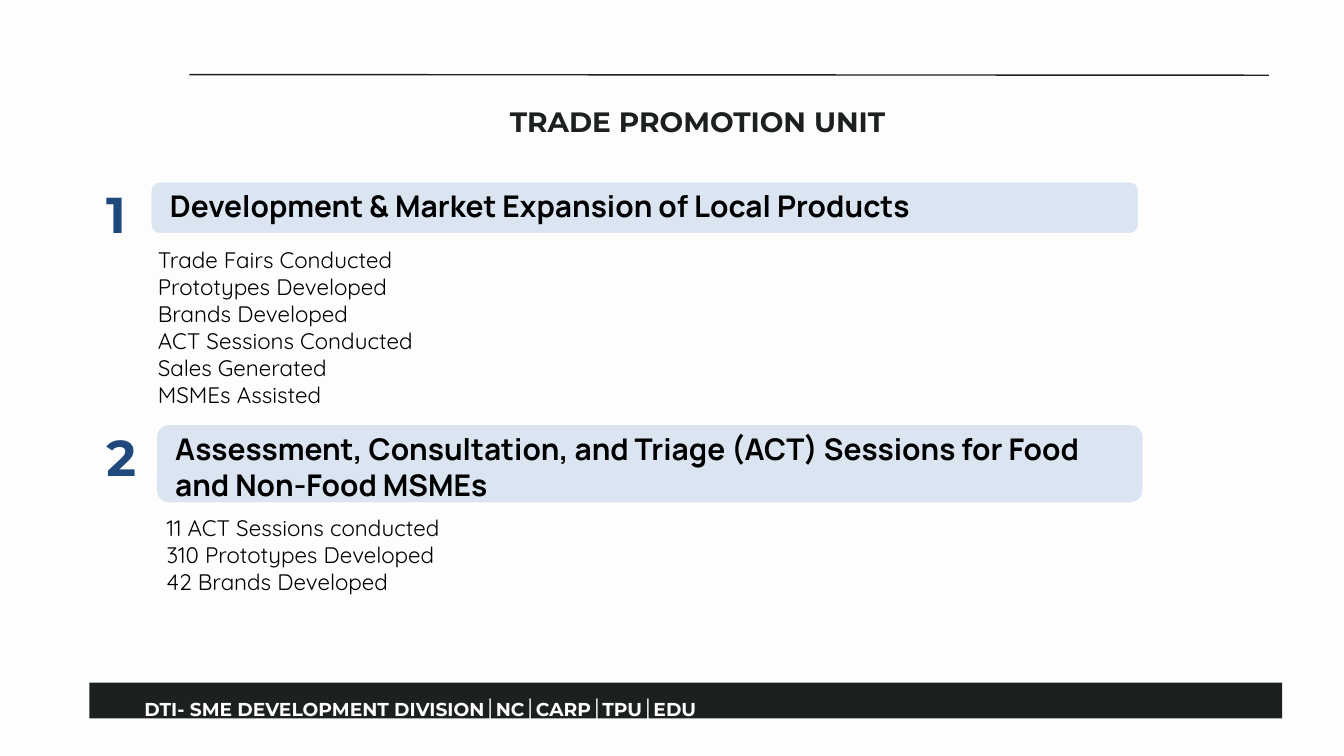
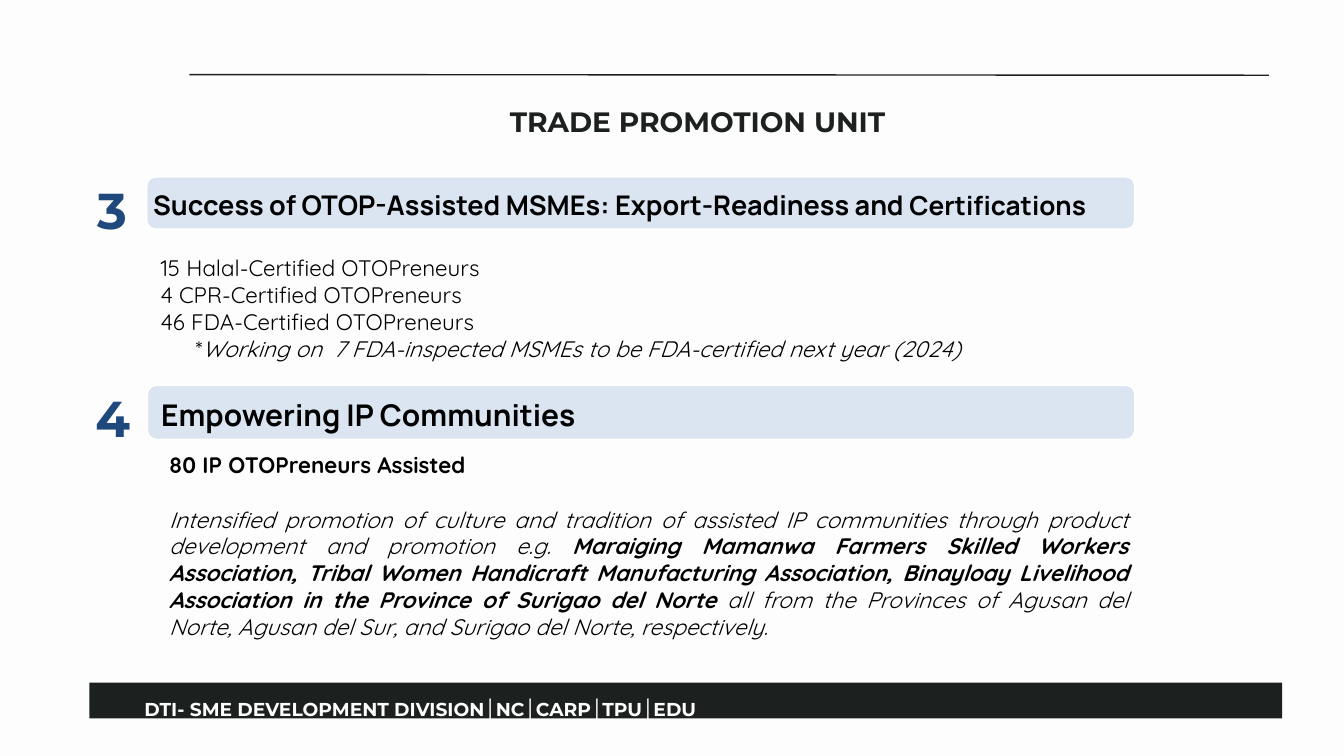
"""Build the two Trade Promotion Unit slides."""
import pptx
import pptx.dml.color
import pptx.enum.shapes
import pptx.enum.text
import pptx.oxml
import pptx.util

Pt = pptx.util.Pt
RGB = pptx.dml.color.RGBColor.from_string
SHAPE = pptx.enum.shapes.MSO_SHAPE
ALIGN = pptx.enum.text.PP_ALIGN
ANCHOR = pptx.enum.text.MSO_ANCHOR
COLORS = {"paper": "FDFDFD", "ink": "1C2120", "band": "DAE5F1",
          "white": "FFFFFF", "number": "1F497D", "text": "000000"}
TITLE = "TRADE PROMOTION UNIT"
FOOTER = "DTI- SME DEVELOPMENT DIVISION│NC│CARP│TPU│EDU"

SLIDES = [
    [
        {"number": "1", "band": (161.3, 194.4, 1059, 56.2),
         "heading_box": (175, 197.3, 887, 46),
         "heading": [("Development & Market Expansion of Local Products", 32, "b")],
         "body_box": (162, 260.6, 1152.7, 181.4),
         "body": [[(t, 24, "")] for t in (
             "Trade Fairs Conducted", "Prototypes Developed", "Brands Developed",
             "ACT Sessions Conducted", "Sales Generated", "MSMEs Assisted")]},
        {"number": "2", "band": (167, 454.3, 1058.4, 85),
         "heading_box": (180.7, 457.9, 1034.6, 85),
         "heading": [("Assessment, Consultation, and Triage (ACT) Sessions for Food "
                      "and Non-Food MSMEs", 32, "b")],
         "body_box": (171.4, 547.2, 1152, 94.3),
         "body": [[(t, 24, "")] for t in (
             "11 ACT Sessions conducted", "310 Prototypes Developed",
             "42 Brands Developed")]},
    ],
    [
        {"number": "3", "band": (157, 189.4, 1059, 56.2),
         "heading_box": (157, 198.7, 1090.8, 42.5),
         "heading": [("Success of OTOP-Assisted MSMEs: Export-Readiness and", 29, "b"),
                     (" ", 25, "b"), ("Certifications", 28, "b")],
         "body_box": (164.9, 268.6, 1152.7, 123.8),
         "body": [[("15 Halal-Certified OTOPreneurs", 24, "")],
                  [("4 CPR-Certified OTOPreneurs", 24, "")],
                  [("46 FDA-Certified OTOPreneurs", 24, "")],
                  [("*", 24, ""),
                   ("Working on  7 FDA-inspected MSMEs to be FDA-certified "
                    "next year (2024)", 24, "i")]],
         "indent": 37.5},
        {"number": "4", "band": (157.7, 412.6, 1058.4, 58.3),
         "heading_box": (165.6, 421.9, 1034.6, 46),
         "heading": [("Empowering IP Communities", 32, "b")],
         "body_box": (174.2, 479.5, 1041.8, 239.8),
         "body": [[("80 IP OTOPreneurs Assisted", 24, "b")],
                  [("Intensified promotion of culture and tradition of assisted IP "
                    "communities through product development and promotion e.g. ",
                    24, "i"),
                   ("Maraiging Mamanwa Farmers Skilled Workers Association, Tribal "
                    "Women Handicraft Manufacturing Association, Binayloay Livelihood "
                    "Association in the Province of Surigao del Norte", 24, "bi"),
                   (" all from the Provinces of Agusan del Norte, Agusan del Sur, and "
                    "Surigao del Norte, respectively.", 24, "i")]],
         "gap": 30, "align": ALIGN.JUSTIFY},
    ],
]


def write(sp, paragraphs, font, color, align=ALIGN.LEFT, spacing=None, inset=(0, 0)):
    """Fill a shape with paragraphs of (text, size, style) runs."""
    tf = sp.text_frame
    tf.word_wrap = True
    tf.auto_size = pptx.enum.text.MSO_AUTO_SIZE.NONE
    tf.vertical_anchor = ANCHOR.TOP
    tf.margin_left = tf.margin_right = Pt(inset[0])
    tf.margin_top = tf.margin_bottom = Pt(inset[1])
    for i, runs in enumerate(paragraphs):
        p = tf.add_paragraph() if i else tf.paragraphs[0]
        p.alignment = align
        if spacing:
            p.line_spacing = spacing
        for text, size, style in runs:
            r = p.add_run()
            r.text = text
            r.font.name = font
            r.font.size = Pt(size)
            r.font.bold = "b" in style
            r.font.italic = "i" in style
            r.font.color.rgb = RGB(COLORS[color])
    return tf


def add_block(s, kind, box, fill):
    """Add a filled preset shape without outline or shadow."""
    sp = s.shapes.add_shape(kind, *map(Pt, box))
    sp.shadow.inherit = False
    sp.fill.solid()
    sp.fill.fore_color.rgb = RGB(COLORS[fill])
    sp.line.fill.background()
    return sp


prs = pptx.Presentation()
prs.slide_width, prs.slide_height = Pt(1440), Pt(810)
background = prs.slide_master.background.fill
background.solid()
background.fore_color.rgb = RGB(COLORS["paper"])

for sections in SLIDES:
    s = prs.slides.add_slide(prs.slide_layouts[5])
    title = s.shapes.title
    title.left, title.top, title.width, title.height = map(Pt, (360, 108.7, 774.7, 34.6))
    write(title, [[(TITLE, 30, "b")]], "Montserrat", "ink", ALIGN.CENTER, 1.1)

    rule = s.shapes.add_connector(pptx.enum.shapes.MSO_CONNECTOR.STRAIGHT,
                                  *map(Pt, (203, 79.9, 1359.4, 80.6)))
    rule.line.color.rgb = RGB(COLORS["ink"])
    rule.line.width = Pt(1.5)
    rule._element.spPr.append(pptx.oxml.parse_xml(
        '<a:effectLst xmlns:a="http://schemas.openxmlformats.org/drawingml/2006/main"/>'))

    add_block(s, SHAPE.RECTANGLE, (95.8, 731.5, 1278, 38.2), "ink")
    footer = s.shapes.add_textbox(*map(Pt, (154.8, 738, 1160, 26)))
    write(footer, [[(FOOTER, 20, "b")]], "Montserrat", "paper", ALIGN.JUSTIFY, 1.4)

    for section in sections:
        left, top = section["band"][:2]
        band = add_block(s, SHAPE.ROUNDED_RECTANGLE, section["band"], "band")
        band.line.color.rgb = RGB(COLORS["white"])
        band.line.width = Pt(2)

        heading = s.shapes.add_textbox(*map(Pt, section["heading_box"]))
        write(heading, [section["heading"]], "Manrope", "text", inset=(7.2, 3.6))

        number = s.shapes.add_textbox(*map(Pt, (left - 157, top + 8, 240, 50.4)))
        write(number, [[(section["number"], 54, "b")]], "Montserrat", "number",
              ALIGN.CENTER, 0.93)

        body = s.shapes.add_textbox(*map(Pt, section["body_box"]))
        tf = write(body, section["body"], "Quicksand", "text", inset=(7.2, 3.6))
        last = tf.paragraphs[-1]
        last.alignment = section.get("align", ALIGN.LEFT)
        if "gap" in section:
            last.space_before = Pt(section["gap"])
        if "indent" in section:
            last._p.get_or_add_pPr().set("marL", str(Pt(section["indent"])))

prs.save("out.pptx")
